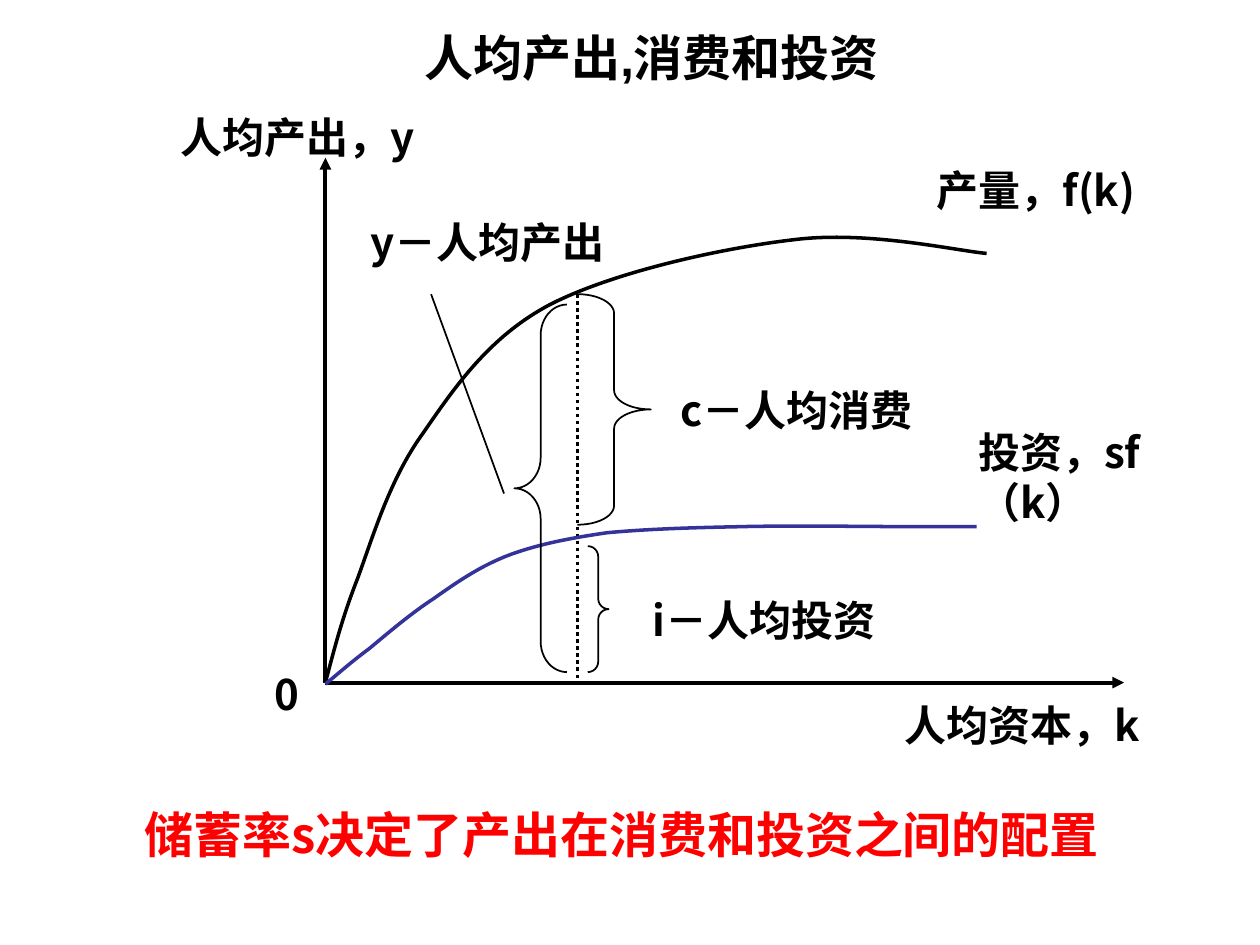
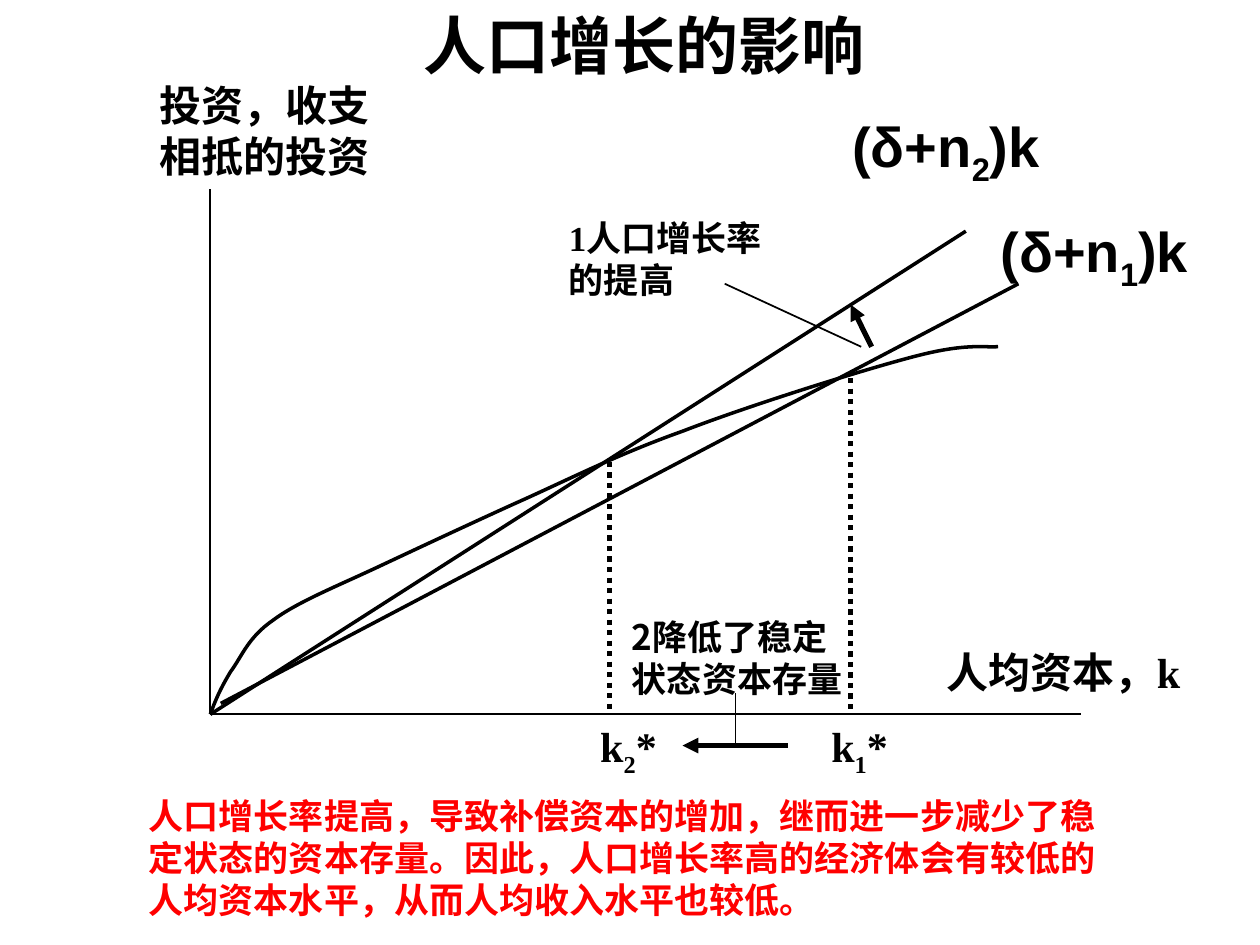
from lxml.etree import SubElement
from pptx import Presentation
from pptx.dml.color import RGBColor
from pptx.enum.dml import MSO_LINE
from pptx.enum.shapes import MSO_CONNECTOR, MSO_SHAPE
from pptx.enum.text import MSO_ANCHOR, MSO_AUTO_SIZE, PP_ALIGN
from pptx.oxml.ns import qn
from pptx.util import Cm, Pt

BLACK = RGBColor(0x00, 0x00, 0x00)
RED = RGBColor(0xFF, 0x00, 0x00)
BLUE = RGBColor(0x33, 0x33, 0x99)
SANS = "Noto Sans CJK SC"
SERIF = "Times New Roman"
ARIAL = "Arial"
THIN, MEDIUM, AXIS, THICK = 1, 2, 2.25, 3


def style_text(shape, text, size, font, color=BLACK, align=PP_ALIGN.LEFT):
    """Write bold text into a shape; the character after "_" becomes a subscript."""
    frame = shape.text_frame
    frame.word_wrap = True
    frame.auto_size = MSO_AUTO_SIZE.NONE
    frame.vertical_anchor = MSO_ANCHOR.TOP
    frame.margin_left = frame.margin_right = Cm(0.25)
    frame.margin_top = frame.margin_bottom = Cm(0.13)
    body, mark, rest = text.partition("_")
    frame.text = body
    if mark:
        for part in (rest[0], rest[1:]):
            frame.paragraphs[0].add_run().text = part
        subscript = frame.paragraphs[0].runs[1]
        subscript.font._element.set("baseline", "-25000")
    for paragraph in frame.paragraphs:
        paragraph.alignment = align
        for run in paragraph.runs:
            run.font.size = Pt(size)
            run.font.bold = True
            run.font.name = font
            run.font.color.rgb = color
            properties = run.font._element
            properties.set("lang", "zh-CN")
            SubElement(properties, qn("a:ea")).set("typeface", SANS)


def style_line(shape, width, color=BLACK, dotted=False, arrow=False):
    """Give a connector or outline its width, colour, dots and arrowhead, without shadow."""
    shape.line.width = Pt(width)
    shape.line.color.rgb = color
    if dotted:
        shape.line.dash_style = MSO_LINE.ROUND_DOT
    properties = shape._element.spPr
    if arrow:
        SubElement(properties.find(qn("a:ln")), qn("a:tailEnd")).set("type", "triangle")
    if properties.find(qn("a:effectLst")) is None:
        SubElement(properties, qn("a:effectLst"))


presentation = Presentation()
presentation.slide_width = Cm(25.4)
presentation.slide_height = Cm(19.05)
title_only = presentation.slide_layouts[5]

# Titles: text, size, left, top, width, height
titles = [
    ("人均产出,消费和投资", 28, 7.42, 0.43, 11.43, 1.45),
    ("人口增长的影响", 36, 8.28, 0, 9.4, 1.78),
]
for text, size, *box in titles:
    slide = presentation.slides.add_slide(title_only)
    title = slide.shapes.title
    title.left, title.top, title.width, title.height = map(Cm, box)
    style_text(title, text, size, ARIAL, align=PP_ALIGN.CENTER)
output_slide, growth_slide = presentation.slides

# Straight lines: slide, start, end, width, dotted, arrow
output_origin = (6.56, 13.76)
growth_origin = (4.24, 14.4)
lines = [
    (output_slide, output_origin, (6.56, 3.18), AXIS, False, True),
    (output_slide, output_origin, (22.66, 13.76), AXIS, False, True),
    (output_slide, (11.64, 5.93), (11.64, 13.76), MEDIUM, True, False),
    (output_slide, (8.69, 5.93), (10.16, 9.95), THIN, False, False),
    (growth_slide, growth_origin, (4.24, 3.81), THIN, False, False),
    (growth_slide, growth_origin, (21.8, 14.4), THIN, False, False),
    (growth_slide, growth_origin, (19.47, 4.66), MEDIUM, False, False),
    (growth_slide, (4.45, 14.18), (20.53, 5.72), MEDIUM, False, False),
    (growth_slide, (12.28, 9.31), (12.28, 14.4), THICK, True, False),
    (growth_slide, (17.15, 7.62), (17.15, 14.4), THICK, True, False),
    (growth_slide, (17.57, 6.99), (17.15, 6.14), THICK, False, True),
    (growth_slide, (15.88, 15.03), (13.76, 15.03), THICK, False, True),
    (growth_slide, (14.61, 5.72), (17.36, 6.99), THIN, False, False),
    (growth_slide, (14.82, 13.97), (14.82, 15.03), 0.75, False, False),
]
for slide, start, end, width, dotted, arrow in lines:
    connector = slide.shapes.add_connector(
        MSO_CONNECTOR.STRAIGHT, *map(Cm, start + end))
    style_line(connector, width, dotted=dotted, arrow=arrow)

# Curves: a start point, then two control points and an end point per segment
output_curve = [
    (6.56, 13.76),
    (6.73, 13.13), (6.88, 12.5), (7.21, 11.66),
    (7.52, 10.82), (7.85, 9.68), (8.51, 8.76),
    (9.14, 7.85), (9.83, 6.81), (11.07, 6.15),
    (12.34, 5.49), (14.55, 5), (16.03, 4.83),
    (17.5, 4.65), (19.25, 5.05), (19.89, 5.11),
]
investment_curve = [
    (6.56, 13.79),
    (6.81, 13.59), (7.06, 13.36), (7.44, 13.08),
    (7.8, 12.78), (8.28, 12.37), (8.74, 12.07),
    (9.22, 11.73), (9.7, 11.4), (10.29, 11.18),
    (10.87, 10.97), (11.48, 10.85), (12.24, 10.74),
    (13, 10.67), (13.82, 10.64), (14.88, 10.62),
    (15.93, 10.59), (17.78, 10.62), (18.59, 10.62),
    (19.41, 10.62), (19.51, 10.62), (19.69, 10.62),
]
saving_curve = [
    (4.24, 14.4),
    (4.34, 14.12), (4.45, 13.87), (4.65, 13.54),
    (4.88, 13.23), (5, 12.85), (5.51, 12.5),
    (5.99, 12.14), (6.81, 11.81), (7.62, 11.43),
    (8.43, 11.05), (9.35, 10.62), (10.36, 10.16),
    (11.4, 9.7), (12.42, 9.17), (13.77, 8.69),
    (15.09, 8.18), (17.35, 7.47), (18.42, 7.19),
    (19.48, 6.91), (19.84, 7.01), (20.12, 6.99),
]
curves = [
    (output_slide, output_curve, BLACK),
    (output_slide, investment_curve, BLUE),
    (growth_slide, saving_curve, BLACK),
]
for slide, points, color in curves:
    start, *others = [(Cm(x), Cm(y)) for x, y in points]
    builder = slide.shapes.build_freeform(*start)
    builder.add_line_segments(others, close=False)
    curve = builder.convert_to_shape()
    curve.shadow.inherit = False
    curve.fill.background()
    style_line(curve, MEDIUM, color)
    # Join every three straight steps into one cubic segment
    outline = curve._element.spPr.find(".//" + qn("a:path"))
    steps = outline.findall(qn("a:lnTo"))
    for first in range(0, len(steps), 3):
        segment = SubElement(outline, qn("a:cubicBezTo"))
        for step in steps[first:first + 3]:
            segment.append(step[0])
            outline.remove(step)

# Braces: preset, left, top, width, height
braces = [
    (MSO_SHAPE.RIGHT_BRACE, 11.64, 5.93, 1.48, 4.65),
    (MSO_SHAPE.LEFT_BRACE, 10.37, 6.14, 1.06, 7.41),
    (MSO_SHAPE.RIGHT_BRACE, 11.85, 11.01, 0.42, 2.54),
]
for preset, left, top, width, height in braces:
    brace = output_slide.shapes.add_shape(
        preset, Cm(left), Cm(top), Cm(width), Cm(height))
    brace.adjustments[0] = height / width / 12
    brace.shadow.inherit = False
    brace.fill.background()
    style_line(brace, THIN)

# Labels: slide, text, left, top, width, height, size, font, colour
labels = [
    (output_slide, "人均资本，k", 17.99, 13.97, 5.72, 1.27, 24, SANS, BLACK),
    (output_slide, "0", 5.29, 13.34, 1.06, 1.27, 24, SANS, BLACK),
    (output_slide, "人均产出，y", 3.39, 2.12, 5.72, 1.27, 24, SANS, BLACK),
    (output_slide, "投资，sf（k）", 19.47, 8.47, 5.72, 2.29, 24, SANS, BLACK),
    (output_slide, "产量，f(k)", 18.63, 3.18, 5.08, 1.27, 24, SANS, BLACK),
    (output_slide, "c－人均消费", 13.47, 7.62, 5.8, 1.27, 24, SANS, BLACK),
    (output_slide, "i－人均投资", 12.91, 11.85, 5.8, 1.27, 24, SANS, BLACK),
    (output_slide, "y－人均产出", 7.22, 4.23, 5.8, 1.27, 24, SANS, BLACK),
    (output_slide, "储蓄率s决定了产出在消费和投资之间的配置",
     2.67, 16.09, 21, 1.45, 28, SANS, RED),
    (growth_slide, "投资，收支相抵的投资", 2.96, 1.48, 5.5, 2.29, 24, SERIF, BLACK),
    (growth_slide, "(δ+n_2)k", 16.93, 2.12, 5.08, 1.8, 32, ARIAL, BLACK),
    (growth_slide, "(δ+n_1)k", 19.92, 4.23, 5.08, 1.8, 32, ARIAL, BLACK),
    (growth_slide, "人均资本，k", 18.84, 12.91, 5.72, 1.27, 24, SERIF, BLACK),
    (growth_slide, "k_2*", 11.85, 14.4, 1.91, 1.42, 24, SERIF, BLACK),
    (growth_slide, "k_1*", 16.51, 14.4, 1.91, 1.42, 24, SERIF, BLACK),
    (growth_slide, "1人口增长率的提高", 11.22, 4.23, 4.45, 1.96, 20, SERIF, BLACK),
    (growth_slide, "2降低了稳定\n状态资本存量", 12.49, 12.28, 5.72, 1.96, 20, SANS, BLACK),
    (growth_slide, "人口增长率提高，导致补偿资本的增加，继而进一步减少了稳定状态的资本存量。"
     "因此，人口增长率高的经济体会有较低的人均资本水平，从而人均收入水平也较低。",
     2.75, 15.88, 19.9, 2.79, 20, SERIF, RED),
]
for slide, text, left, top, width, height, size, font, color in labels:
    label = slide.shapes.add_textbox(Cm(left), Cm(top), Cm(width), Cm(height))
    style_text(label, text, size, font, color)

presentation.save("out.pptx")
